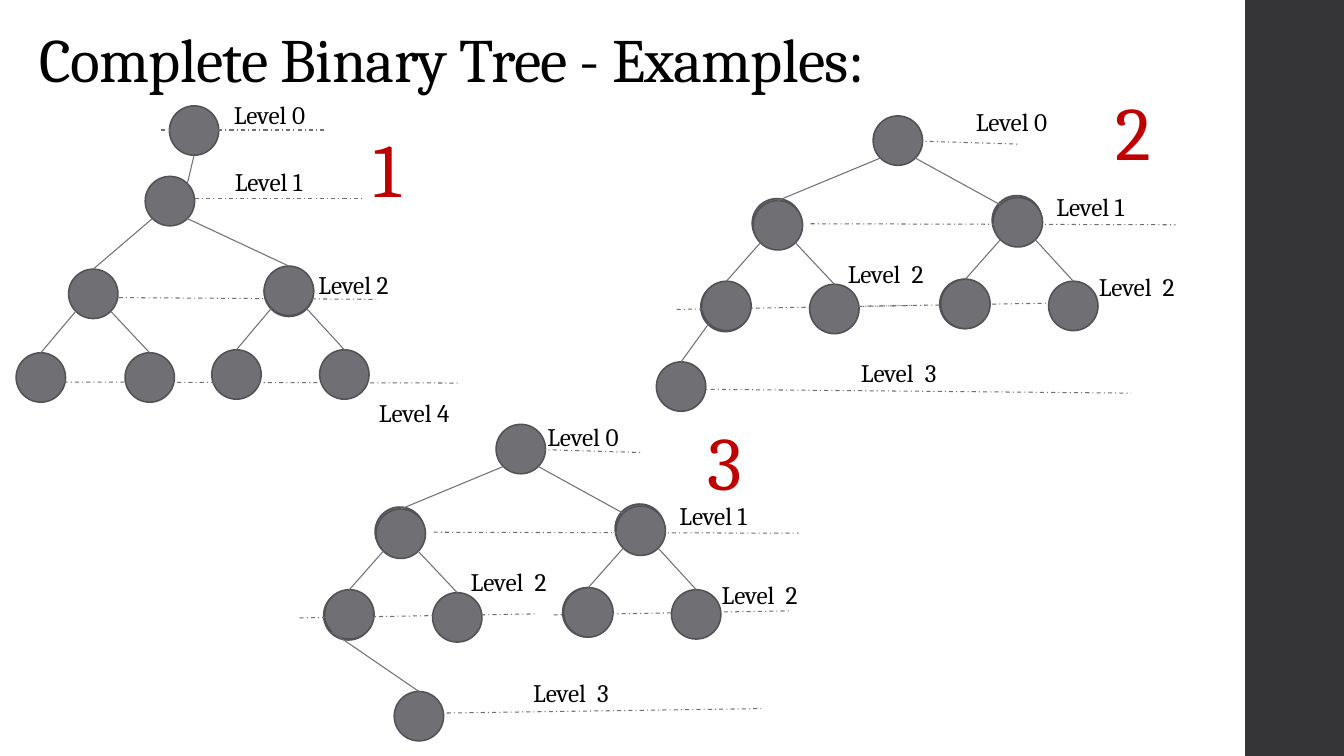
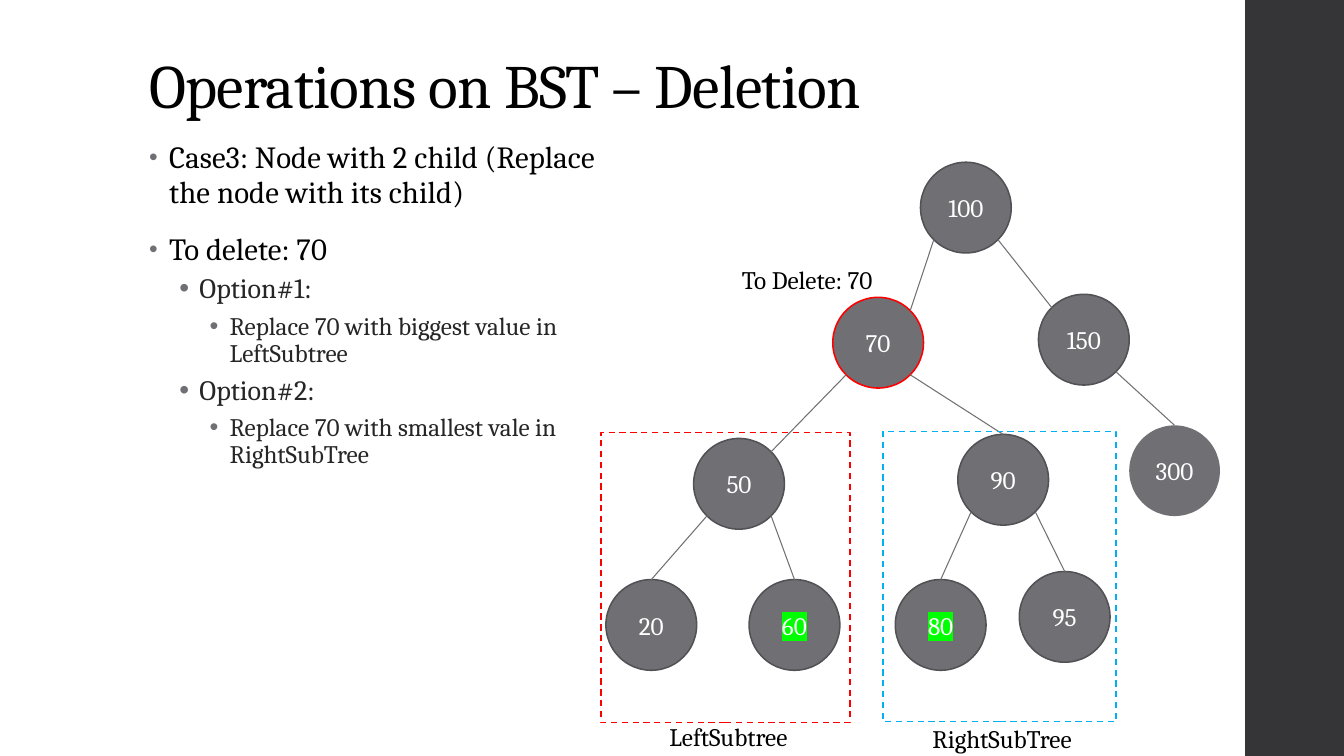
from math import cos, radians, sin

from lxml.etree import SubElement
from pptx import Presentation
from pptx.dml.color import RGBColor
from pptx.enum.dml import MSO_LINE
from pptx.enum.shapes import MSO_CONNECTOR, MSO_SHAPE
from pptx.enum.text import MSO_ANCHOR, PP_ALIGN
from pptx.oxml.ns import qn
from pptx.util import Inches, Pt

FONT = "Cambria"
SLIDE_WIDTH, SLIDE_HEIGHT = 13.33, 7.5
COLORS = {
    "band": "353537", "node": "6F6F74", "outline": "525256", "text": "000000",
    "detail": "262626", "number": "C00000", "white": "FFFFFF", "red": "FF0000",
    "blue": "00B0F0", "highlight": "00FF00",
}

# Eight points on a circle, counterclockwise from the top
TOP, TOP_LEFT, LEFT, BOTTOM_LEFT, BOTTOM, BOTTOM_RIGHT, RIGHT, TOP_RIGHT = range(8)

# Slide 1: every tree is given relative to the top left corner of its root
SMALL_NODE = 0.49
PAIR_EDGES = [
    ("left", BOTTOM_LEFT, "left left", TOP), ("left", BOTTOM_RIGHT, "left right", TOP),
    ("right", BOTTOM_LEFT, "right left", TOP), ("right", BOTTOM_RIGHT, "right right", TOP),
]
FOUR_LEVEL_NODES = {
    "root": (0, 0),
    "right back": (1.18, 0.79), "right": (1.19, 0.81),
    "right left back": (0.66, 1.62), "right left": (0.67, 1.62),
    "right right": (1.74, 1.64),
    "left back": (-1.2, 0.82), "left": (-1.19, 0.84),
    "left left back": (-1.71, 1.65), "left left": (-1.7, 1.64),
    "left right": (-0.63, 1.67),
}
FOUR_LEVEL_EDGES = PAIR_EDGES + [
    ("root", BOTTOM_LEFT, "left", TOP), ("root", BOTTOM_RIGHT, "right", TOP_LEFT),
    ("left left", BOTTOM_LEFT, "last", TOP),
]
FOUR_LEVEL_LINES = [
    (0.11, 0.24, 1.46, 0.28), (-0.62, 1.07, 3, 1.08), (-1.95, 1.92, 0.41, 1.88),
]
FOUR_LEVEL_LABELS = [
    ("Level 1", 1.72, 0.7), ("Level  2", 2.14, 1.49), ("Level  2", -0.35, 1.36),
]
TREES = [
    {
        "origin": (1.68, 1.05), "number": ("1", 1.85, 0.11),
        "nodes": {
            "root": (0, 0), "middle": (-0.24, 0.7), "left": (-1, 1.62),
            "left left": (-1.52, 2.45), "left right": (-0.44, 2.45),
            "right back": (0.94, 1.6), "right": (0.94, 1.59),
            "right left": (0.42, 2.42), "right right": (1.49, 2.42),
        },
        "edges": PAIR_EDGES + [
            ("root", BOTTOM, "middle", TOP_RIGHT),
            ("middle", BOTTOM_LEFT, "left", TOP), ("middle", BOTTOM_RIGHT, "right", TOP),
        ],
        "lines": [(-0.08, 0.24, 1.55, 0.24), (0.14, 0.92, 1.91, 0.92),
                  (-0.84, 1.9, 2.05, 1.92), (-1.05, 2.74, 2.86, 2.75)],
        "labels": [("Level 0", 0.54, -0.11), ("Level 1", 0.55, 0.55),
                   ("Level 2", 1.38, 1.57), ("Level 4", 1.98, 2.84)],
    },
    {
        "origin": (8.66, 1.15), "number": ("2", 2.27, -0.36),
        "nodes": {**FOUR_LEVEL_NODES, "last": (-2.15, 2.44)},
        "edges": FOUR_LEVEL_EDGES,
        "lines": FOUR_LEVEL_LINES + [(-0.17, 1.89, 2.19, 1.85), (-1.95, 2.71, 2.56, 2.75)],
        "labels": FOUR_LEVEL_LABELS + [("Level 0", 0.92, -0.14), ("Level  3", -0.22, 2.35)],
    },
    {
        "origin": (4.92, 4.21), "number": ("3", 1.96, -0.14),
        "nodes": {**FOUR_LEVEL_NODES, "last": (-1.01, 2.65)},
        "edges": FOUR_LEVEL_EDGES,
        "lines": FOUR_LEVEL_LINES + [(0.57, 1.89, 2.93, 1.85), (-0.94, 2.87, 2.63, 2.82)],
        "labels": FOUR_LEVEL_LABELS + [("Level 0", 0.41, -0.08), ("Level  3", 0.27, 2.46)],
    },
]

# Slide 2: search tree, subtree frames, captions and bullets
LARGE_NODE = 0.9
SEARCH_NODES = {
    "100": (9.13, 1.61), "70": (8.26, 2.95), "150": (10.3, 2.92), "300": (11.2, 4.22),
    "50": (6.88, 4.35), "20": (6.01, 5.75), "90": (9.5, 4.31), "60": (7.43, 5.75),
    "80": (8.88, 5.75), "95": (10.11, 5.67),
}
NODE_OUTLINES = {"70": "red", "300": None}
REPLACEMENTS = ("60", "80")
SEARCH_EDGES = [
    ("100", BOTTOM_LEFT, "70", TOP_RIGHT), ("100", BOTTOM_RIGHT, "150", TOP_LEFT),
    ("150", BOTTOM_RIGHT, "300", TOP), ("70", BOTTOM_LEFT, "50", TOP_RIGHT),
    ("70", BOTTOM_RIGHT, "90", TOP), ("50", BOTTOM_LEFT, "20", TOP),
    ("50", BOTTOM_RIGHT, "60", TOP), ("90", BOTTOM_LEFT, "80", TOP),
    ("90", BOTTOM_RIGHT, "95", TOP),
]
SUBTREE_FRAMES = [((5.96, 4.29, 2.47, 2.88), "red"), ((8.76, 4.28, 2.31, 2.88), "blue")]
CAPTIONS = [
    ("To Delete: 70", (7.26, 2.57, 1.81, 0.4)),
    ("LeftSubtree", (6.54, 7.11, 1.6, 0.4)),
    ("RightSubTree", (9.15, 7.13, 1.85, 0.4)),
]
BULLETS = [
    (0, "Case3: Node with 2 child (Replace the node with its child)"),
    (0, "To delete: 70"),
    (1, "Option#1:"),
    (2, "Replace 70 with biggest value in LeftSubtree"),
    (1, "Option#2:"),
    (2, "Replace 70 with smallest vale in RightSubTree"),
]
# Per level: size, colour, left margin, line spacing, before, after, bullet percent
BULLET_LEVELS = [
    (22, "text", 0.2, 0.95, 14, 2, 80),
    (20, "detail", 0.5, 0.9, 3, 3, 100),
    (18, "detail", 0.8, 0.9, 3, 3, 100),
]


def rgb(name):
    return RGBColor.from_string(COLORS[name])


def add_run(paragraph, text, size, color, spacing=0):
    run = paragraph.add_run()
    run.text = text
    run.font.name, run.font.size = FONT, Pt(size)
    run.font.color.rgb = rgb(color)
    if spacing:
        run._r.get_or_add_rPr().set("spc", str(spacing))
    return run


def add_text(shapes, box, text, size=18, color="text", align=PP_ALIGN.LEFT):
    frame = shapes.add_textbox(*map(Inches, box)).text_frame
    frame.word_wrap = True
    paragraph = frame.paragraphs[0]
    paragraph.alignment = align
    add_run(paragraph, text, size, color)


def add_shape(shapes, kind, box, fill=None, outline=None):
    shape = shapes.add_shape(kind, *map(Inches, box))
    shape.shadow.inherit = False
    if fill:
        shape.fill.solid()
        shape.fill.fore_color.rgb = rgb(fill)
    else:
        shape.fill.background()
    if outline:
        shape.line.color.rgb = rgb(outline)
        shape.line.width = Pt(1.1)
    else:
        shape.line.fill.background()
    return shape


def add_line(shapes, start, end, dash=None):
    line = shapes.add_connector(MSO_CONNECTOR.STRAIGHT, *map(Inches, (*start, *end)))
    line.line.color.rgb = rgb("node")
    line.line.width = Pt(0.75)
    if dash:
        line.line.dash_style = dash
    SubElement(line._element.spPr, qn("a:effectLst"))


def circle_point(corner, diameter, point):
    angle = radians(90 + 45 * point)
    radius = diameter / 2
    return (corner[0] + radius * (1 + cos(angle)), corner[1] + radius * (1 - sin(angle)))


def add_edges(shapes, nodes, edges, diameter):
    for parent, parent_point, child, child_point in edges:
        add_line(shapes, circle_point(nodes[parent], diameter, parent_point),
                 circle_point(nodes[child], diameter, child_point))


def add_base_slide(presentation, title, left, top):
    slide = presentation.slides.add_slide(presentation.slide_layouts[6])
    add_shape(slide.shapes, MSO_SHAPE.RECTANGLE, (12.35, 0, SLIDE_WIDTH - 12.35, SLIDE_HEIGHT),
              "band")
    frame = slide.shapes.add_textbox(*map(Inches, (left, top, 10.6, 0.86))).text_frame
    frame.word_wrap = True
    frame.vertical_anchor = MSO_ANCHOR.BOTTOM
    paragraph = frame.paragraphs[0]
    paragraph.line_spacing = 0.9
    add_run(paragraph, title, 44, "text", -50)
    return slide


def add_tree(slide, tree):
    left, top = tree["origin"]
    shapes = slide.shapes.add_group_shape().shapes
    nodes = {name: (left + x, top + y) for name, (x, y) in tree["nodes"].items()}
    for corner in nodes.values():
        add_shape(shapes, MSO_SHAPE.OVAL, (*corner, SMALL_NODE, SMALL_NODE), "node", "outline")
    add_edges(shapes, nodes, tree["edges"], SMALL_NODE)
    for x1, y1, x2, y2 in tree["lines"]:
        add_line(shapes, (left + x1, top + y1), (left + x2, top + y2), MSO_LINE.DASH_DOT)
    for text, x, y in tree["labels"]:
        add_text(shapes, (left + x, top + y, 1.12, 0.4), text)
    text, x, y = tree["number"]
    add_text(slide.shapes, (left + x, top + y, 0.62, 1.01), text, 54, "number", PP_ALIGN.CENTER)


def add_bullets(slide):
    frame = slide.shapes.add_textbox(*map(Inches, (1.38, 1.34, 5.08, 3.96))).text_frame
    frame.word_wrap = True
    for index, (level, text) in enumerate(BULLETS):
        size, color, margin, line_spacing, before, after, percent = BULLET_LEVELS[level]
        paragraph = frame.add_paragraph() if index else frame.paragraphs[0]
        paragraph.level = level
        paragraph.line_spacing = line_spacing
        paragraph.space_before, paragraph.space_after = Pt(before), Pt(after)
        add_run(paragraph, text, size, color, 0 if level else 10)
        properties = paragraph._p.get_or_add_pPr()
        properties.set("marL", str(Inches(margin)))
        properties.set("indent", str(Inches(-0.2)))
        bullet_color = SubElement(properties, qn("a:buClr"))
        SubElement(bullet_color, qn("a:srgbClr"), val=COLORS["node"])
        SubElement(properties, qn("a:buSzPct"), val=str(percent * 1000))
        SubElement(properties, qn("a:buFont"), typeface="Arial")
        SubElement(properties, qn("a:buChar"), char="•")


def highlight_run(run):
    fill = run._r.get_or_add_rPr().find(qn("a:solidFill"))
    highlight = SubElement(fill.getparent(), qn("a:highlight"))
    SubElement(highlight, qn("a:srgbClr"), val=COLORS["highlight"])
    fill.addnext(highlight)


def add_search_tree(slide):
    for text, corner in SEARCH_NODES.items():
        node = add_shape(slide.shapes, MSO_SHAPE.OVAL, (*corner, LARGE_NODE, LARGE_NODE),
                         "node", NODE_OUTLINES.get(text, "outline"))
        node.text_frame.vertical_anchor = MSO_ANCHOR.MIDDLE
        paragraph = node.text_frame.paragraphs[0]
        paragraph.alignment = PP_ALIGN.CENTER
        run = add_run(paragraph, text, 18, "white")
        if text in REPLACEMENTS:
            highlight_run(run)
    add_edges(slide.shapes, SEARCH_NODES, SEARCH_EDGES, LARGE_NODE)
    for box, color in SUBTREE_FRAMES:
        frame = add_shape(slide.shapes, MSO_SHAPE.RECTANGLE, box, outline=color)
        frame.line.dash_style = MSO_LINE.DASH
    for text, box in CAPTIONS:
        add_text(slide.shapes, box, text)


def main():
    presentation = Presentation()
    presentation.slide_width = Inches(SLIDE_WIDTH)
    presentation.slide_height = Inches(SLIDE_HEIGHT)

    examples = add_base_slide(presentation, "Complete Binary Tree - Examples:", 0.29, 0.14)
    for tree in TREES:
        add_tree(examples, tree)

    deletion = add_base_slide(presentation, "Operations on BST – Deletion", 1.38, 0.4)
    add_bullets(deletion)
    add_search_tree(deletion)

    presentation.save("out.pptx")


if __name__ == "__main__":
    main()
